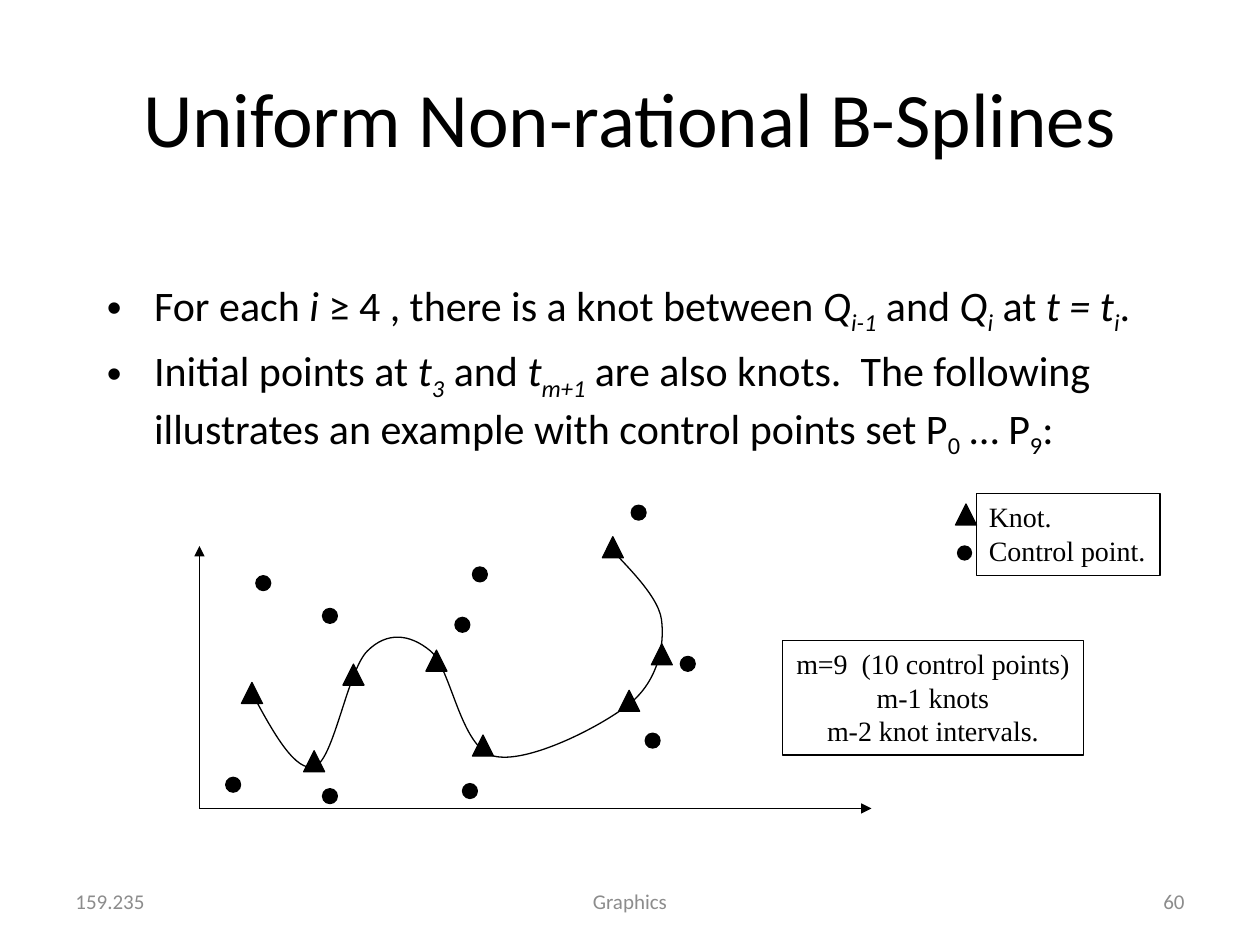
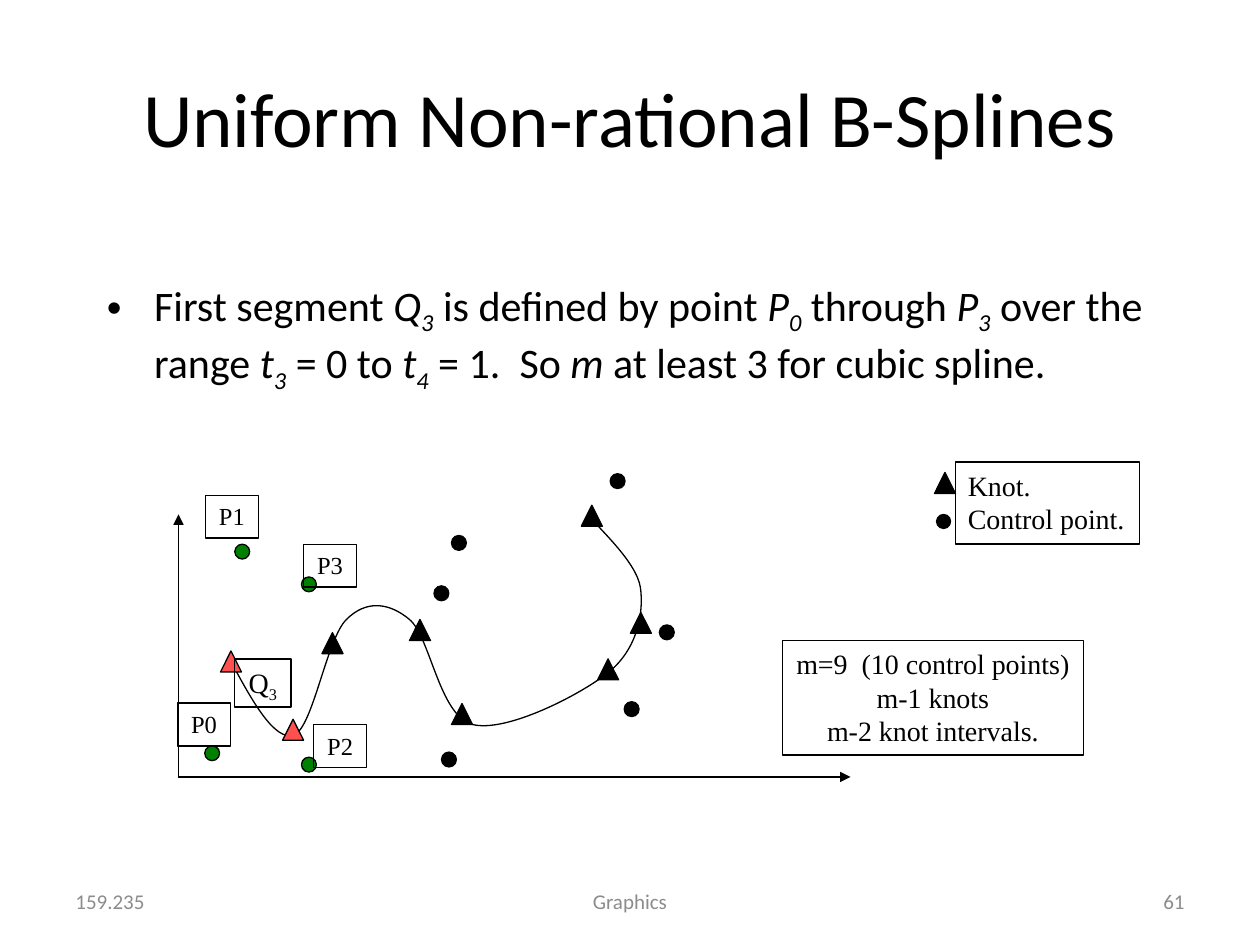
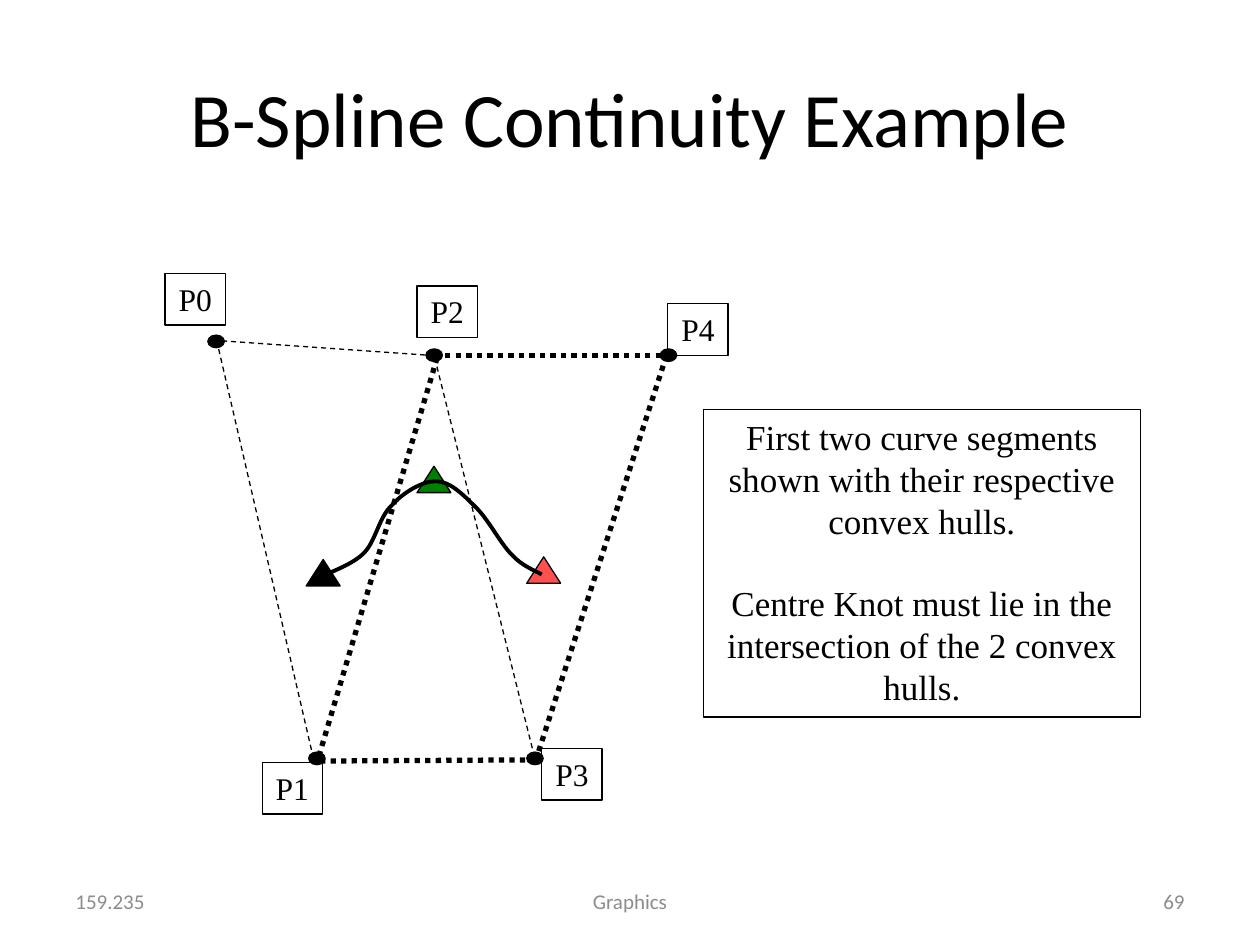
from dataclasses import dataclass

from lxml import etree
from pptx import Presentation
from pptx.dml.color import RGBColor
from pptx.enum.dml import MSO_LINE
from pptx.enum.shapes import MSO_CONNECTOR, MSO_SHAPE
from pptx.enum.text import MSO_ANCHOR, MSO_AUTO_SIZE, PP_ALIGN
from pptx.oxml.ns import qn
from pptx.util import Pt

TRIANGLE, OVAL, RECTANGLE = MSO_SHAPE.ISOSCELES_TRIANGLE, MSO_SHAPE.OVAL, MSO_SHAPE.RECTANGLE
STRAIGHT = MSO_CONNECTOR.STRAIGHT
DASH, DOTS = MSO_LINE.DASH, MSO_LINE.ROUND_DOT
LEFT, CENTER, RIGHT = PP_ALIGN.LEFT, PP_ALIGN.CENTER, PP_ALIGN.RIGHT
TOP, MIDDLE = MSO_ANCHOR.TOP, MSO_ANCHOR.MIDDLE
FIT_TEXT = MSO_AUTO_SIZE.SHAPE_TO_FIT_TEXT

COLORS = {"ink": "000000", "footer": "8C8C8C", "green": "008000", "red": "FF5050"}
SANS, SERIF = "Calibri", "Times New Roman"
THIN = 0.75
TITLE_ONLY = 5
TITLE_AREA = (36, 21.6, 648, 90)
BODY_AREA = (54, 156, 612, 124)

Point = tuple[float, float]
Area = tuple[float, float, float, float]


@dataclass(frozen=True)
class Span:
    text: str
    italic: bool = False
    subscript: bool = False


@dataclass(frozen=True)
class Label:
    area: Area
    lines: list[list[Span]]
    size: float
    align: PP_ALIGN = CENTER
    wrap: bool = False
    gap: float = 0


@dataclass(frozen=True)
class Edge:
    start: Point
    end: Point
    width: float = THIN
    dash: MSO_LINE | None = None
    arrow: bool = False


@dataclass(frozen=True)
class HullPoint:
    name: str
    dot: Point
    label: Point


KNOT_SIZE = (12, 12)
CONTROL_SIZE = (8.5, 8.5)
LEGEND_DOT_SIZE = (8, 8)
AXIS_ENDS = [(0, -150), (384, 0)]
SPLINE = [
    (30, -66),
    (42.25, -43), (55.2, -20), (66, -24),
    (76.8, -28), (84.7, -79), (96, -90),
    (107, -101), (120, -100), (132, -90),
    (144, -80), (149, -35), (168, -30),
    (187, -25), (230, -47), (246, -60),
    (262, -73), (266, -93.4), (264, -108),
    (262, -123), (239, -143), (234, -150),
]
FIRST_KNOTS = [(24, -72), (59.5, -33)]
LATER_KNOTS = [(82, -82.5), (156, -42), (239.5, -67.5), (258.2, -94.1), (230.2, -155.3)]
FIRST_CONTROLS = [(15, -17.8), (32.2, -133), (70.3, -11.3), (70.3, -114.3)]
LATER_CONTROLS = [
    (150.3, -14.2), (146, -109.2), (156, -138), (254.7, -43), (274.8, -86.9), (246.7, -173.3),
]

HULL_DOT_SIZE = (9.4, 7.2)
HULL_KNOT_SIZE = (19.4, 15.1)
HULL_POINTS = [
    HullPoint("P0", (118.8, 191.5), (94.3, 156.2)),
    HullPoint("P1", (176.4, 429.8), (149.8, 435.6)),
    HullPoint("P2", (243.4, 199.4), (238.3, 163.4)),
    HullPoint("P3", (301, 429.8), (309.6, 427.7)),
    HullPoint("P4", (377.3, 199.4), (381.6, 173.5)),
]
HULL_EDGES = [
    Edge((121.7, 194.4), (244.8, 203), dash=DASH),
    Edge((123.8, 194.4), (179.3, 434.2), dash=DASH),
    Edge((248.4, 204.5), (306, 434.9), dash=DASH),
    Edge((249.8, 204.5), (181.4, 434.9), 3, DOTS),
    Edge((182.9, 434.9), (306, 434.2), 3, DOTS),
    Edge((306, 434.9), (380.9, 203), 3, DOTS),
    Edge((248.4, 203), (380.9, 203), 3, DOTS),
]
HULL_KNOTS = [((175, 319.7), "ink"), ((238.3, 266.4), "green"), ((301, 318.2), "red")]
TWO_SEGMENTS = [
    (185, 329),
    (188.6, 326.9), (201.6, 322.6), (208, 316),
    (214.6, 309.6), (216.7, 295.2), (224, 288.7),
    (230.4, 281.5), (241.2, 275), (249, 275),
    (257, 275), (264.2, 282.2), (271.4, 289.4),
    (278.6, 296), (285.8, 310.3), (292.3, 316.8),
    (298, 323.3), (306, 326.2), (309.6, 328.3),
]


def color(name: str) -> RGBColor:
    return RGBColor.from_string(COLORS[name])


def points(values) -> list:
    return [Pt(value) for value in values]


def shift(origin: Point, spot: Point) -> Point:
    return origin[0] + spot[0], origin[1] + spot[1]


def indexed(symbol: str, index: str, italic: bool = True) -> list[Span]:
    return [Span(symbol, italic), Span(index, italic, True)]


def write(paragraph, spans: list[Span], font: str, size: float, ink: str = "ink") -> None:
    for span in spans:
        run = paragraph.add_run()
        run.text = span.text
        run.font.name = font
        run.font.size = Pt(size)
        run.font.italic = span.italic
        run.font.color.rgb = color(ink)
        if span.subscript:
            run._r.get_or_add_rPr().set("baseline", "-25000")


def paragraphs(frame, count: int) -> list:
    return [frame.paragraphs[0]] + [frame.add_paragraph() for _ in range(count - 1)]


def outline(shape, width: float = THIN) -> None:
    shape.shadow.inherit = False
    shape.line.color.rgb = color("ink")
    shape.line.width = Pt(width)


def draw_marker(slide, kind: MSO_SHAPE, spot: Point, size: Point, fill: str = "ink") -> None:
    marker = slide.shapes.add_shape(kind, *points(spot + size))
    marker.fill.solid()
    marker.fill.fore_color.rgb = color(fill)
    outline(marker)


def draw_label(slide, label: Label) -> None:
    box = slide.shapes.add_shape(RECTANGLE, *points(label.area))
    box.fill.background()
    outline(box)
    frame = box.text_frame
    frame.word_wrap = label.wrap
    frame.auto_size = FIT_TEXT
    frame.vertical_anchor = TOP
    for number, paragraph in enumerate(paragraphs(frame, len(label.lines))):
        paragraph.alignment = label.align
        if number:
            paragraph.space_before = Pt(label.gap)
        write(paragraph, label.lines[number], SERIF, label.size)


def draw_edge(slide, edge: Edge) -> None:
    connector = slide.shapes.add_connector(STRAIGHT, *points(edge.start + edge.end))
    connector.line.color.rgb = color("ink")
    connector.line.width = Pt(edge.width)
    if edge.dash is not None:
        connector.line.dash_style = edge.dash
    properties = connector._element.spPr
    if edge.arrow:
        etree.SubElement(properties.find(qn("a:ln")), qn("a:tailEnd"), type="triangle")
    etree.SubElement(properties, qn("a:effectLst"))


def draw_curve(slide, spots: list[Point], width: float = THIN) -> None:
    start, *rest = [points(spot) for spot in spots]
    builder = slide.shapes.build_freeform(*start)
    builder.add_line_segments(rest, close=False)
    curve = builder.convert_to_shape()
    curve.fill.background()
    outline(curve, width)
    route = curve._element.find(".//" + qn("a:path"))
    segments = route.findall(qn("a:lnTo"))
    for first in range(0, len(segments), 3):
        bezier = etree.SubElement(route, qn("a:cubicBezTo"))
        for segment in segments[first:first + 3]:
            bezier.append(segment[0])
            route.remove(segment)


def add_page(deck, title: str, number: str):
    slide = deck.slides.add_slide(deck.slide_layouts[TITLE_ONLY])
    heading = slide.shapes.title
    heading.left, heading.top, heading.width, heading.height = points(TITLE_AREA)
    heading.text_frame.vertical_anchor = MIDDLE
    heading.text_frame.paragraphs[0].alignment = CENTER
    write(heading.text_frame.paragraphs[0], [Span(title)], SANS, 44)
    footers = [("159.235", 36, 168, LEFT), ("Graphics", 246, 228, CENTER), (number, 516, 168, RIGHT)]
    for text, left, width, align in footers:
        frame = slide.shapes.add_textbox(*points((left, 500.4, width, 28.8))).text_frame
        frame.word_wrap = True
        frame.vertical_anchor = MIDDLE
        frame.paragraphs[0].alignment = align
        write(frame.paragraphs[0], [Span(text)], SANS, 12, "footer")
    return slide


def add_bullets(slide, items: list[list[Span]]) -> None:
    frame = slide.shapes.add_textbox(*points(BODY_AREA)).text_frame
    frame.word_wrap = True
    for paragraph, spans in zip(paragraphs(frame, len(items)), items):
        paragraph.space_before = Pt(4.8)
        properties = paragraph._p.get_or_add_pPr()
        properties.set("marL", str(Pt(27)))
        properties.set("indent", str(-Pt(27)))
        etree.SubElement(properties, qn("a:buFont"), typeface="Arial")
        etree.SubElement(properties, qn("a:buChar"), char="•")
        write(paragraph, spans, SANS, 24)


def draw_spline(slide, origin: Point, crest_knot: Point, knot_fill: str, control_fill: str) -> None:
    for end in AXIS_ENDS:
        draw_edge(slide, Edge(origin, shift(origin, end), arrow=True))
    draw_curve(slide, [shift(origin, spot) for spot in SPLINE])
    marker_sets = [
        (TRIANGLE, KNOT_SIZE, FIRST_KNOTS, knot_fill),
        (TRIANGLE, KNOT_SIZE, LATER_KNOTS + [crest_knot, (432, -174)], "ink"),
        (OVAL, CONTROL_SIZE, FIRST_CONTROLS, control_fill),
        (OVAL, CONTROL_SIZE, LATER_CONTROLS, "ink"),
        (OVAL, LEGEND_DOT_SIZE, [(433.2, -150)], "ink"),
    ]
    for kind, size, spots, fill in marker_sets:
        for spot in spots:
            draw_marker(slide, kind, shift(origin, spot), size, fill)
    legend = [[Span("Knot.")], [Span("Control point.")]]
    draw_label(slide, Label(shift(origin, (444, -180)) + (105, 47), legend, 16, LEFT))
    summary = ["m=9  (10 control points)", "m-1 knots", "m-2 knot intervals."]
    draw_label(slide, Label((447.1, 366, 172, 65.5), [[Span(line)] for line in summary], 16))


def add_knots_page(deck) -> None:
    slide = add_page(deck, "Uniform Non-rational B-Splines", "60")
    add_bullets(slide, [
        [
            Span("For each "), Span("i ", True), Span("≥ 4 , there is a knot between "),
            *indexed("Q", "i-1"), Span(" and "), *indexed("Q", "i"), Span(" at "),
            *indexed("t = t", "i"), Span("."),
        ],
        [
            Span("Initial points at "), *indexed("t", "3"), Span(" and "), *indexed("t", "m+1"),
            Span(" are also knots.  The following illustrates an example with control points set "),
            *indexed("P", "0", False), Span(" … "), *indexed("P", "9", False), Span(":"),
        ],
    ])
    draw_spline(slide, (114, 462), (129.4, -90.5), "ink", "ink")


def add_first_segment_page(deck) -> None:
    slide = add_page(deck, "Uniform Non-rational B-Splines", "61")
    add_bullets(slide, [[
        Span("First segment "), *indexed("Q", "3"), Span(" is defined by point "),
        *indexed("P", "0"), Span(" through "), *indexed("P", "3"), Span(" over the range "),
        *indexed("t", "3"), Span(" = 0 to "), *indexed("t", "4"), Span(" = 1.  So "),
        Span("m", True), Span(" at least 3 for cubic spline."),
    ]])
    draw_spline(slide, (102, 444), (132, -90), "red", "green")
    control_labels = [(101.5, 401.8), (117.4, 283), (179.3, 414), (173.5, 311)]
    for index, spot in enumerate(control_labels):
        draw_label(slide, Label(spot + (30.2, 24.5), [[Span(f"P{index}")]], 14))
    draw_label(slide, Label((133.9, 376.6, 32.4, 27.4), [indexed("Q", "3", False)], 16))


def add_continuity_page(deck) -> None:
    slide = add_page(deck, "B-Spline Continuity Example", "69")
    explanation = [
        [Span("First two curve segments shown with their respective convex hulls.")],
        [Span("Centre Knot must lie in the intersection of the 2 convex hulls.")],
    ]
    draw_label(slide, Label((401.8, 234, 250, 175.7), explanation, 20, wrap=True, gap=23))
    for point in HULL_POINTS:
        draw_marker(slide, OVAL, point.dot, HULL_DOT_SIZE)
        draw_label(slide, Label(point.label + (34.5, 29.5), [[Span(point.name)]], 18))
    for spot, fill in HULL_KNOTS:
        draw_marker(slide, TRIANGLE, spot, HULL_KNOT_SIZE, fill)
    for edge in HULL_EDGES:
        draw_edge(slide, edge)
    draw_curve(slide, TWO_SEGMENTS, 2.25)


def main() -> None:
    deck = Presentation()
    deck.slide_width, deck.slide_height = Pt(720), Pt(540)
    add_knots_page(deck)
    add_first_segment_page(deck)
    add_continuity_page(deck)
    deck.save("out.pptx")


if __name__ == "__main__":
    main()
